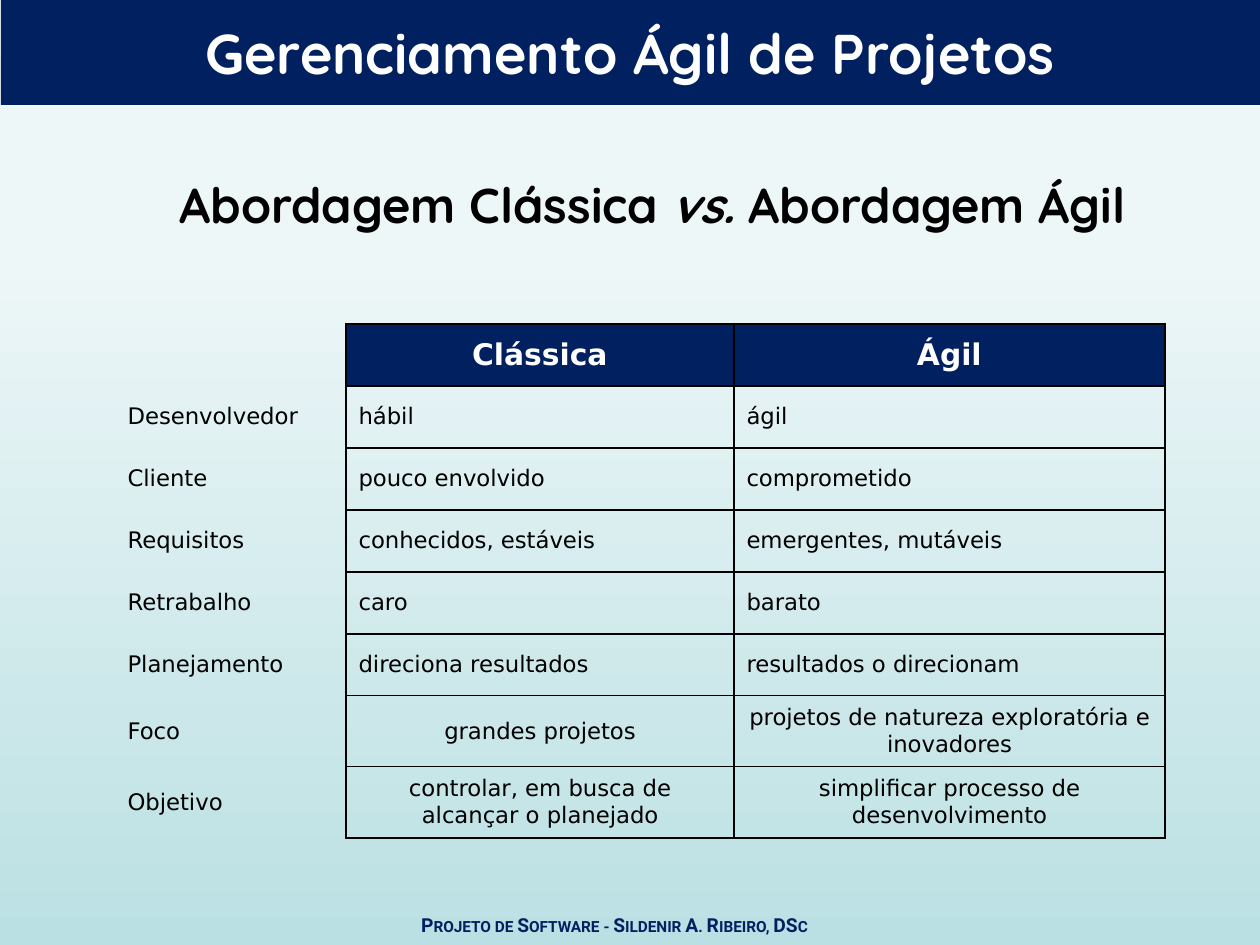
from dataclasses import dataclass

from lxml import etree
from pptx import Presentation
from pptx import util as u
from pptx.dml.color import RGBColor
from pptx.enum import shapes, text
from pptx.oxml.ns import qn

PX_PER_INCH = 126
PLAIN_TABLE = "{2D5ABB26-0587-4C30-8999-92F81FD0307C}"
CENTER = text.PP_ALIGN.CENTER
LEFT = text.PP_ALIGN.LEFT


@dataclass(frozen=True)
class Theme:
    navy: str = "002060"
    black: str = "000000"
    white: str = "FFFFFF"
    backdrop: tuple = ((0, "BBE0E3"), (74, "EEF7F8"), (83, "EEF7F8"), (100, "F4FAFA"))
    display: str = "Quicksand"
    body: str = "DejaVu Sans"
    small: str = "Roboto"
    banner_size: int = 32
    title_size: int = 28
    header_size: int = 17
    cell_size: int = 13
    footer_size: int = 11
    thin: float = 1
    thick: float = 1.5


def px(length):
    return u.Inches(length / PX_PER_INCH)


class SlideBuilder:
    def __init__(self, theme, page):
        self.theme = theme
        self.page = page

    def background(self):
        fill = self.page.background.fill
        fill.gradient()
        fill.gradient_angle = 90
        stops = next(self.page.element.iter(qn("a:gsLst")))
        for stop in list(stops):
            stops.remove(stop)
        for position, color in self.theme.backdrop:
            stop = etree.SubElement(stops, qn("a:gs"), pos=str(position * 1000))
            etree.SubElement(stop, qn("a:srgbClr"), val=color)

    def style(self, para, font, size, color, bold=False, align=CENTER):
        para.alignment = align
        for span in para.runs:
            span.font.name = font
            span.font.size = u.Pt(size)
            span.font.bold = bold
            span.font.color.rgb = RGBColor.from_string(color)

    def text_box(self, area, spans, font, size, color, anchor):
        box = self.page.shapes.add_textbox(*map(px, area))
        frame = box.text_frame
        frame.word_wrap = True
        frame.vertical_anchor = anchor
        para = frame.paragraphs[0]
        for words in spans:
            para.add_run().text = words
        self.style(para, font, size, color, bold=True)
        return para

    def banner(self, area, words):
        theme = self.theme
        bar = self.page.shapes.add_shape(shapes.MSO_SHAPE.RECTANGLE, *map(px, area))
        bar.shadow.inherit = False
        bar.fill.solid()
        bar.fill.fore_color.rgb = RGBColor.from_string(theme.navy)
        bar.line.fill.background()
        frame = bar.text_frame
        frame.text = words
        frame.vertical_anchor = text.MSO_ANCHOR.MIDDLE
        self.style(frame.paragraphs[0], theme.display, theme.banner_size, theme.white, bold=True)

    def borders(self, cell, widths):
        properties = cell._tc.get_or_add_tcPr()
        for index, (side, width) in enumerate(widths.items()):
            line = etree.Element(qn(f"a:ln{side}"), w=str(u.Pt(width)))
            fill = etree.SubElement(line, qn("a:solidFill"))
            etree.SubElement(fill, qn("a:srgbClr"), val=self.theme.black)
            properties.insert(index, line)

    def table(self, left, top, widths, heights, rows, centered_from):
        theme = self.theme
        last_row, last_column = len(rows) - 1, len(widths) - 1
        frame = self.page.shapes.add_table(
            len(rows), len(widths), px(left), px(top), px(sum(widths)), px(sum(heights)))
        grid = frame.table
        grid.first_row = grid.horz_banding = False
        next(grid._tbl.iter(qn("a:tableStyleId"))).text = PLAIN_TABLE
        for column, width in zip(grid.columns, widths):
            column.width = px(width)
        for row, height in zip(grid.rows, heights):
            row.height = px(height)
        for r, row in enumerate(rows):
            for c, words in enumerate(row):
                cell = grid.cell(r, c)
                header = r == 0 and c > 0
                cell.text = words
                cell.vertical_anchor = text.MSO_ANCHOR.MIDDLE
                if header:
                    cell.fill.solid()
                    cell.fill.fore_color.rgb = RGBColor.from_string(theme.navy)
                else:
                    cell.fill.background()
                centered = header or (c > 0 and r >= centered_from)
                self.style(
                    cell.text_frame.paragraphs[0], theme.body,
                    theme.header_size if header else theme.cell_size,
                    theme.white if header else theme.black,
                    bold=header, align=CENTER if centered else LEFT)
                if c == 0:
                    self.borders(cell, {"R": theme.thin})
                else:
                    self.borders(cell, {
                        "L": theme.thin,
                        "R": theme.thick if c == last_column else theme.thin,
                        "T": theme.thick if r == 0 else theme.thin,
                        "B": theme.thick if r == last_row else theme.thin,
                    })


ROWS = [
    ("", "Clássica", "Ágil"),
    ("Desenvolvedor", "hábil", "ágil"),
    ("Cliente", "pouco envolvido", "comprometido"),
    ("Requisitos", "conhecidos, estáveis", "emergentes, mutáveis"),
    ("Retrabalho", "caro", "barato"),
    ("Planejamento", "direciona resultados", "resultados o direcionam"),
    ("Foco", "grandes projetos", "projetos de natureza exploratória e inovadores"),
    ("Objetivo", "controlar, em busca de alcançar o planejado",
     "simplificar processo de desenvolvimento"),
]


def main():
    theme = Theme()
    deck = Presentation()
    deck.slide_width, deck.slide_height = px(1260), px(945)
    builder = SlideBuilder(theme, deck.slides.add_slide(deck.slide_layouts[6]))
    builder.background()
    title = builder.text_box(
        (87, 125, 1131, 157), ("Abordagem Clássica ", "vs.", " Abordagem Ágil"),
        theme.display, theme.title_size, theme.black, text.MSO_ANCHOR.MIDDLE)
    title.runs[1].font.italic = True
    builder.table(115, 324, (231, 388, 431), [62] * 6 + [71] * 2, ROWS, centered_from=6)
    footer = builder.text_box(
        (74, 907, 1081, 37), ("Projeto de Software - Sildenir A. Ribeiro, DSc",),
        theme.small, theme.footer_size, theme.navy, text.MSO_ANCHOR.TOP)
    footer.runs[0].font._element.set("cap", "small")
    builder.banner((1, 0, 1259, 105), "Gerenciamento Ágil de Projetos")
    deck.save("out.pptx")


if __name__ == "__main__":
    main()
